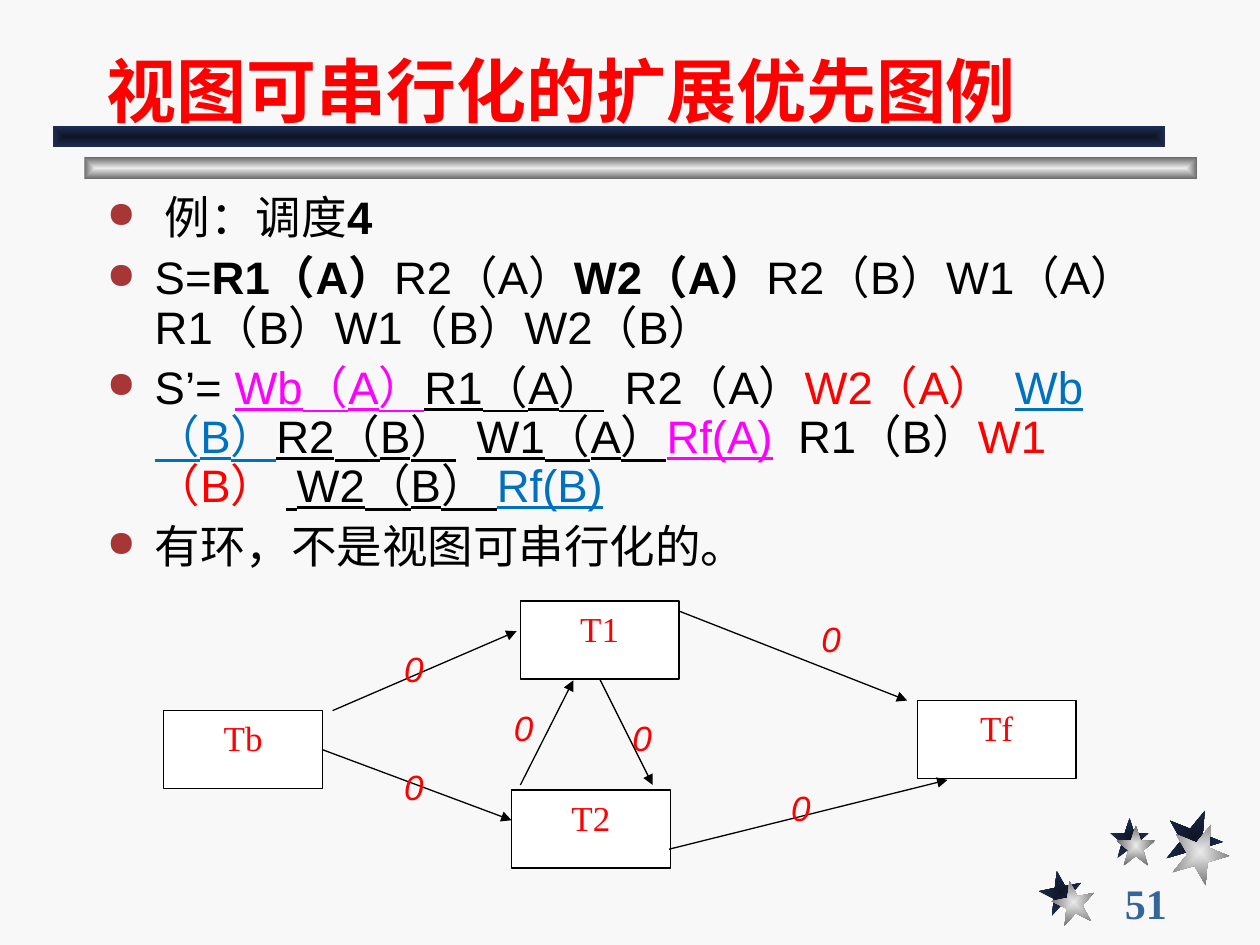
import lxml.etree
import pptx
import pptx.util
import pptx.dml.color
import pptx.enum.shapes
import pptx.enum.text
import pptx.oxml
import pptx.oxml.ns
from dataclasses import dataclass

Inches, Pt = pptx.util.Inches, pptx.util.Pt
ALIGN, ANCHOR = pptx.enum.text.PP_ALIGN, pptx.enum.text.MSO_ANCHOR
SHAPE, CONNECTOR = pptx.enum.shapes.MSO_SHAPE, pptx.enum.shapes.MSO_CONNECTOR
qn = pptx.oxml.ns.qn


@dataclass(frozen=True)
class Theme:
    sans: str = "Arial"
    serif: str = "Times New Roman"
    bg: str = "F8F8F8"
    white: str = "FFFFFF"
    black: str = "000000"
    red: str = "FF0000"
    pink: str = "FF00FF"
    blue: str = "0070C0"
    bullet: str = "A73737"
    number: str = "336699"
    navy: tuple = ("0E1526", "1E2E53")
    silver: tuple = ("EAEAEA", "6C6C6C")
    title_pt: int = 40
    body_pt: int = 26
    number_pt: int = 24
    graph_pt: int = 20
    line_pt: float = 0.75


T = Theme()

# Content
TITLE = "视图可串行化的扩展优先图例"
PAGE = "51"
# Runs: text, colour, style letters (b bold, u underlined)
BODY = [
    [(" 例：调度", T.black, ""), ("4", T.black, "b")],
    [("S=", T.black, ""), ("R1（A）", T.black, "b"), ("R2（A）", T.black, ""),
     ("W2（A）", T.black, "b"), ("R2（B）W1（A）R1（B）W1（B）W2（B）", T.black, "")],
    [("S’= ", T.black, ""), ("Wb（A）", T.pink, "u"), ("R1（A）", T.black, "u"),
     ("  R2（A）", T.black, ""), ("W2（A）  ", T.red, ""), ("Wb（B）", T.blue, "u"),
     ("R2（B）", T.black, "u"), ("  ", T.black, ""), ("W1（A）", T.black, "u"),
     ("Rf(A)", T.pink, "u"), ("  R1（B）", T.black, ""), ("W1（B） ", T.red, ""),
     (" W2（B） ", T.black, "u"), ("Rf(B)", T.blue, "u")],
    [("有环，不是视图可串行化的。", T.black, "")],
]

NODE_SIZE = (1.26, 0.62)
NODES = {"Tb": (1.3, 5.64), "Tf": (7.28, 5.56), "T2": (4.06, 6.27), "T1": (4.13, 4.77)}
# Edges: start, end, node and side where the start is joined
EDGES = [
    ((2.64, 5.64), (4.1, 5.01), None),
    ((4.76, 5.4), (5.18, 6.23), ("T1", 2)),
    ((5.31, 6.74), (7.52, 6.19), None),
    ((2.56, 5.95), (4.06, 6.51), ("Tb", 3)),
    ((5.39, 4.85), (7.2, 5.56), None),
    ((4.13, 6.23), (4.55, 5.4), None),
]
EDGE_LABEL = "0"
LABEL_SIZE = (0.35, 0.44)
LABELS = [(3.11, 5.09), (6.42, 4.85), (3.11, 6.03), (6.18, 6.19), (3.98, 5.56), (4.92, 5.64)]

BARS = [((0.67, 1.25), T.silver), ((0.42, 1), T.navy)]
BAR_SIZE = (8.83, 0.17)
# Stars: left, top, width, height, rotation, offset of the silver star
STARS = [
    (8.25, 6.91, 0.34, 0.34, 349, (0.1, 0.08)),
    (8.81, 6.49, 0.31, 0.32, 0, (0.05, 0.06)),
    (9.25, 6.42, 0.45, 0.46, 22, (0.05, 0.11)),
]
STAR = [(0, 0.38), (0.38, 0.38), (0.5, 0), (0.62, 0.38), (1, 0.38),
        (0.69, 0.62), (0.81, 1), (0.5, 0.76), (0.19, 1), (0.31, 0.62)]


def rgb(color):
    return pptx.dml.color.RGBColor.from_string(color)


def box(pos, size):
    return [Inches(v) for v in (*pos, *size)]


def style(font, face, size, color, bold=False, italic=False):
    font.name, font.size, font.bold, font.italic = face, Pt(size), bold, italic
    font.color.rgb = rgb(color)


def add_text(shapes, pos, extent, text, wrap=True, align=ALIGN.LEFT, anchor=ANCHOR.TOP, **font):
    tf = shapes.add_textbox(*box(pos, extent)).text_frame
    tf.word_wrap, tf.vertical_anchor = wrap, anchor
    p = tf.paragraphs[0]
    p.text, p.alignment = text, align
    style(p.runs[0].font, **font)


def shade(sp, colors):
    """Fill a shape from its centre outwards and drop its outline."""
    sp.shadow.inherit = False
    sp.line.fill.background()
    stops = "".join(f'<a:gs pos="{pos}"><a:srgbClr val="{c}"/></a:gs>'
                    for pos, c in zip((0, 100000), colors))
    sp.fill.gradient()
    old = sp._element.spPr.find(qn("a:gradFill"))
    new = pptx.oxml.parse_xml(
        f'<a:gradFill {pptx.oxml.ns.nsdecls("a")} rotWithShape="1"><a:gsLst>{stops}</a:gsLst>'
        '<a:path path="rect"><a:fillToRect l="50000" t="50000" r="50000" b="50000"/></a:path>'
        '</a:gradFill>')
    old.getparent().replace(old, new)


def add_star(shapes, x, y, w, h, rotation, colors):
    points = [(Inches(x + u * w), Inches(y + v * h)) for u, v in STAR]
    fb = shapes.build_freeform(*points[0])
    fb.add_line_segments(points[1:], close=True)
    sp = fb.convert_to_shape()
    sp.rotation = rotation
    shade(sp, colors)


def add_bullet(p):
    pPr = p._p.get_or_add_pPr()
    pPr.set("marL", str(Inches(0.38)))
    pPr.set("indent", str(-Inches(0.38)))
    clr = lxml.etree.SubElement(pPr, qn("a:buClr"))
    lxml.etree.SubElement(clr, qn("a:srgbClr"), val=T.bullet)
    lxml.etree.SubElement(pPr, qn("a:buSzPct"), val="80000")
    lxml.etree.SubElement(pPr, qn("a:buChar"), char="●")


def add_edge(shapes, start, end):
    c = shapes.add_connector(CONNECTOR.STRAIGHT, *box(start, end))
    c.line.color.rgb, c.line.width = rgb(T.black), Pt(T.line_pt)
    ln = c._element.spPr.find(qn("a:ln"))
    lxml.etree.SubElement(ln, qn("a:tailEnd"), type="triangle")
    lxml.etree.SubElement(c._element.spPr, qn("a:effectLst"))
    return c


def main():
    prs = pptx.Presentation()
    prs.slide_width, prs.slide_height = Inches(10), Inches(7.5)
    s = prs.slides.add_slide(prs.slide_layouts[6])
    s.background.fill.solid()
    s.background.fill.fore_color.rgb = rgb(T.bg)
    shapes = s.shapes

    # Stars and bars
    for x, y, w, h, rotation, _ in STARS:
        add_star(shapes, x, y, w, h, rotation, T.navy)
    for x, y, w, h, rotation, (dx, dy) in STARS:
        add_star(shapes, x + dx, y + dy, w, h, rotation, T.silver)
    for pos, colors in BARS:
        shade(shapes.add_shape(SHAPE.RECTANGLE, *box(pos, BAR_SIZE)), colors)

    # Page number and title
    add_text(shapes, (8.83, 7), (1.08, 0.33), PAGE, anchor=ANCHOR.MIDDLE,
             face=T.serif, size=T.number_pt, color=T.number, bold=True)
    add_text(shapes, (0.75, 0.17), (8.5, 0.92), TITLE, anchor=ANCHOR.BOTTOM,
             face=T.sans, size=T.title_pt, color=T.red, bold=True)

    # Bulleted text
    tf = shapes.add_textbox(*box((0.75, 1.5), (8.5, 3.27))).text_frame
    tf.word_wrap = True
    for i, runs in enumerate(BODY):
        p = tf.add_paragraph() if i else tf.paragraphs[0]
        add_bullet(p)
        p.line_spacing, p.space_before = 0.9, Pt(6.5 if i else 0)
        for text, color, marks in runs:
            r = p.add_run()
            r.text = text
            style(r.font, T.sans, T.body_pt, color, bold="b" in marks)
            r.font.underline = "u" in marks

    # Graph nodes
    nodes = {}
    for name, pos in NODES.items():
        sp = nodes[name] = shapes.add_shape(SHAPE.RECTANGLE, *box(pos, NODE_SIZE))
        sp.shadow.inherit = False
        sp.fill.solid()
        sp.fill.fore_color.rgb = rgb(T.white)
        sp.line.color.rgb, sp.line.width = rgb(T.black), Pt(T.line_pt)
        tf = sp.text_frame
        tf.text, tf.vertical_anchor = name, ANCHOR.TOP
        tf.paragraphs[0].alignment = ALIGN.CENTER
        style(tf.paragraphs[0].runs[0].font, T.serif, T.graph_pt, T.red)

    # Graph edges and their labels
    for start, end, joint in EDGES:
        c = add_edge(shapes, start, end)
        if joint:
            c.begin_connect(nodes[joint[0]], joint[1])
    for pos in LABELS:
        add_text(shapes, pos, LABEL_SIZE, EDGE_LABEL, wrap=False, align=ALIGN.CENTER,
                 face=T.sans, size=T.graph_pt, color=T.red, italic=True)

    prs.save("out.pptx")


if __name__ == "__main__":
    main()
